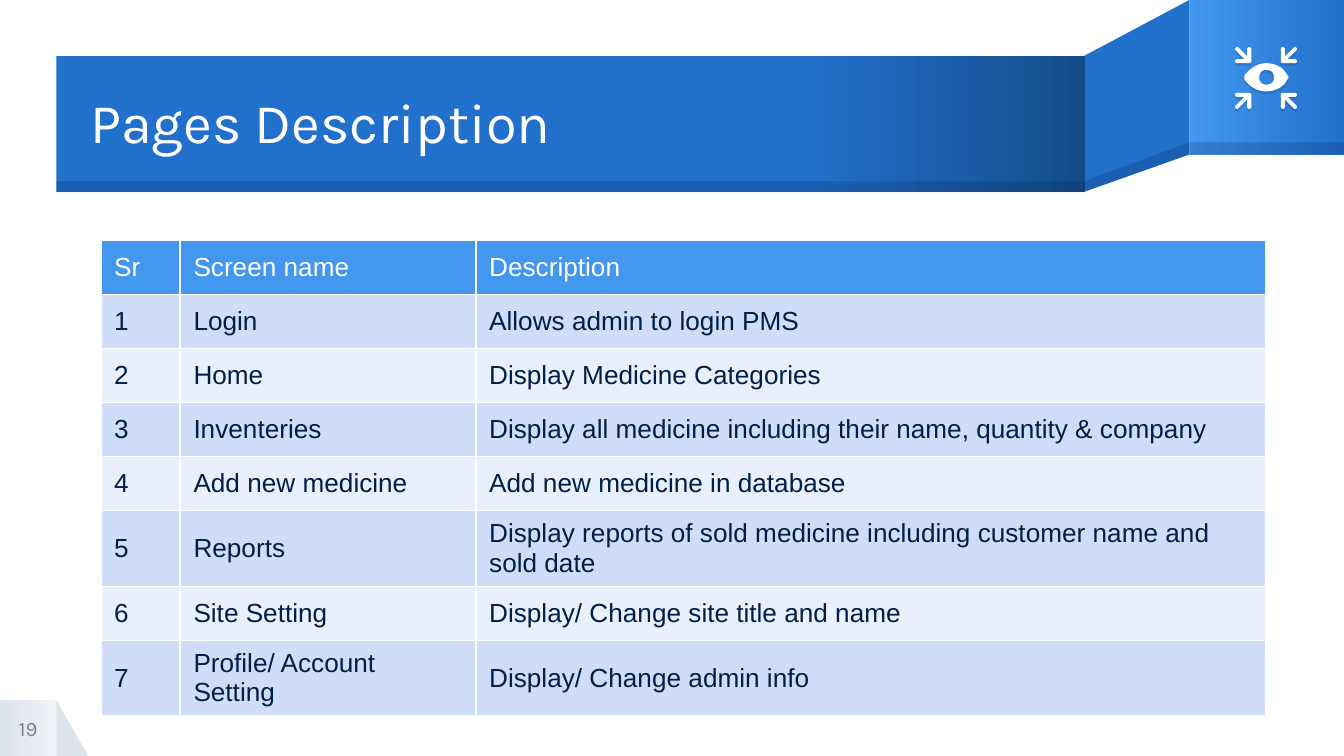
from dataclasses import dataclass

from lxml.etree import SubElement
from pptx import Presentation
from pptx.dml.color import RGBColor
from pptx.enum.shapes import MSO_SHAPE
from pptx.enum.text import MSO_ANCHOR, MSO_AUTO_SIZE, PP_ALIGN
from pptx.oxml.ns import qn
from pptx.util import Inches, Pt


@dataclass(frozen=True)
class Theme:
    white: str = "FFFFFF"
    navy: str = "001F46"
    blue: str = "2170CC"
    light_blue: str = "4397EE"
    dark_blue: str = "154C8A"
    gray: str = "DDE3EB"
    pale_gray: str = "F0F3F7"
    number_gray: str = "748394"
    odd_row: str = "CFDDF8"
    even_row: str = "E9EFFC"
    heading_font: str = "Karla"
    body_font: str = "Arial"
    title_size: int = 30
    table_size: int = 14
    number_size: int = 11


THEME = Theme()
SLIDE_WIDTH = 10
SLIDE_HEIGHT = SLIDE_WIDTH * 9 / 16
ICON_CENTER = (9.42, 0.58)
ARROW = [
    (0.12, 0.11), (0.22, 0.11), (0.23, 0.12), (0.23, 0.13), (0.22, 0.14),
    (0.16, 0.14), (0.23, 0.21), (0.23, 0.22), (0.22, 0.23), (0.21, 0.23),
    (0.14, 0.16), (0.14, 0.22), (0.13, 0.23), (0.12, 0.23), (0.11, 0.22),
    (0.11, 0.12),
]
EYE_CURVES = [
    [(9.58, 0.59), (9.59, 0.58), (9.59, 0.57), (9.58, 0.56)],
    [(9.58, 0.56), (9.55, 0.5), (9.49, 0.47), (9.42, 0.47)],
    [(9.42, 0.47), (9.36, 0.47), (9.3, 0.51), (9.26, 0.56)],
    [(9.26, 0.56), (9.26, 0.57), (9.26, 0.58), (9.26, 0.59)],
    [(9.26, 0.59), (9.3, 0.65), (9.36, 0.68), (9.42, 0.68)],
    [(9.42, 0.68), (9.49, 0.68), (9.55, 0.65), (9.58, 0.59)],
]
PUPIL_CURVES = [
    [(9.42, 0.63), (9.39, 0.63), (9.37, 0.61), (9.37, 0.58)],
    [(9.37, 0.58), (9.37, 0.54), (9.39, 0.52), (9.42, 0.52)],
    [(9.42, 0.52), (9.46, 0.52), (9.48, 0.54), (9.48, 0.58)],
    [(9.48, 0.58), (9.48, 0.61), (9.46, 0.63), (9.42, 0.63)],
]
COLUMN_WIDTHS = [0.59, 2.2, 5.88]
TABLE_HEIGHT = 3.54
ROW_SHARES = [0.4, 0.4, 0.4, 0.4, 0.4, 0.56, 0.4, 0.56]
HEADER = ("Sr", "Screen name", "Description")
SCREENS = [
    ("Login", "Allows admin to login PMS"),
    ("Home", "Display Medicine Categories"),
    ("Inventeries", "Display all medicine including their name, quantity & company"),
    ("Add new medicine", "Add new medicine in database"),
    ("Reports", "Display reports of sold medicine including customer name and sold date"),
    ("Site Setting", "Display/ Change site title and name"),
    ("Profile/ Account Setting", "Display/ Change admin info"),
]


def color(value):
    return RGBColor.from_string(value)


def paint(shape, fill, alpha=None):
    """Fill with one colour, optionally transparent (alpha in percent)."""
    shape.shadow.inherit = False
    shape.line.fill.background()
    shape.fill.solid()
    shape.fill.fore_color.rgb = color(fill)
    if alpha is not None:
        rgb = shape.element.spPr.find(f"{qn('a:solidFill')}/{qn('a:srgbClr')}")
        SubElement(rgb, qn("a:alpha"), val=str(alpha * 1000))


def paint_gradient(shape, start, end, start_position=0):
    paint(shape, start)
    shape.fill.gradient()
    shape.fill.gradient_angle = 0
    stops = zip(shape.fill.gradient_stops, (start, end), (start_position, 1))
    for stop, value, position in stops:
        stop.color.rgb = color(value)
        stop.position = position


def add_block(slide, box, kind=MSO_SHAPE.RECTANGLE):
    return slide.shapes.add_shape(kind, *map(Inches, box))


def add_outline(slide, *contours):
    """Draw closed contours as one shape; inner contours become holes."""
    first, *others = [[(Inches(x), Inches(y)) for x, y in contour] for contour in contours]
    builder = slide.shapes.build_freeform(*first[0])
    builder.add_line_segments(first[1:])
    for contour in others:
        builder.move_to(*contour[0])
        builder.add_line_segments(contour[1:])
    return builder.convert_to_shape()


def sample_curves(curves, steps=8):
    """Turn cubic Bézier curves into a list of points."""
    points = []
    for curve in curves:
        for step in range(steps):
            t = step / steps
            weights = ((1 - t) ** 3, 3 * t * (1 - t) ** 2, 3 * t * t * (1 - t), t ** 3)
            points.append(tuple(
                sum(weight * point[axis] for weight, point in zip(weights, curve))
                for axis in (0, 1)))
    return points


def add_corner(slide):
    paint(add_block(slide, (0.42, 5.21, 0.24, 0.42), MSO_SHAPE.RIGHT_TRIANGLE), THEME.gray)
    paint_gradient(add_block(slide, (0, 5.21, 0.42, 0.42)), THEME.gray, THEME.pale_gray)


def add_ribbon(slide):
    fold = add_outline(slide, [(8.85, 0), (8.06, 0.42), (8.06, 1.43), (8.85, 1.15)])
    paint(fold, THEME.blue)
    paint_gradient(add_block(slide, (8.85, 0, 1.15, 1.15)), THEME.light_blue, THEME.blue)
    paint_gradient(add_block(slide, (0.42, 0.42, 7.65, 1.01)),
                   THEME.blue, THEME.dark_blue, 0.73)
    edges = [
        add_outline(slide, [(8.85, 1.06), (8.06, 1.35), (8.06, 1.43), (8.85, 1.15)]),
        add_block(slide, (8.85, 1.06, 1.15, 0.09)),
        add_block(slide, (0.42, 1.35, 7.65, 0.08)),
    ]
    for edge in edges:
        paint(edge, THEME.navy, alpha=20)


def add_icon(slide):
    """Draw an eye with four arrows pointing at it."""
    center_x, center_y = ICON_CENTER
    parts = [add_outline(slide, sample_curves(EYE_CURVES), sample_curves(PUPIL_CURVES))]
    for side_x, side_y in ((1, -1), (-1, -1), (1, 1), (-1, 1)):
        parts.append(add_outline(
            slide, [(center_x + side_x * x, center_y + side_y * y) for x, y in ARROW]))
    for part in parts:
        paint(part, THEME.white)
        effects = part.element.spPr.find(qn("a:effectLst"))
        shadow = SubElement(effects, qn("a:outerShdw"), blurRad="0", dist=str(Pt(1.5)),
                            dir="5400000", algn="bl", rotWithShape="0")
        rgb = SubElement(shadow, qn("a:srgbClr"), val=THEME.navy)
        SubElement(rgb, qn("a:alpha"), val="15000")


def style_paragraph(paragraph, font, size, value, alignment=PP_ALIGN.LEFT):
    paragraph.alignment = alignment
    paragraph.font.name = font
    paragraph.font.size = Pt(size)
    paragraph.font.bold = False
    paragraph.font.color.rgb = color(value)


def write_text(shape, box, text, size, value, alignment=PP_ALIGN.LEFT):
    shape.left, shape.top, shape.width, shape.height = map(Inches, box)
    frame = shape.text_frame
    frame.text = text
    frame.word_wrap = True
    frame.auto_size = MSO_AUTO_SIZE.NONE
    frame.vertical_anchor = MSO_ANCHOR.MIDDLE
    frame.margin_left = frame.margin_top = frame.margin_right = frame.margin_bottom = 0
    style_paragraph(frame.paragraphs[0], THEME.heading_font, size, value, alignment)


def add_title(slide, text):
    title = slide.shapes.title
    write_text(title, (0.67, 0.43, 7.39, 1.01), text, THEME.title_size, THEME.white)
    title.text_frame.paragraphs[0].line_spacing = 0.9
    title.element.getparent().append(title.element)  # bring in front of the ribbon


def add_page_number(slide, number):
    box = (0, 5.21, 0.42, 0.42)
    write_text(slide.shapes.add_textbox(*map(Inches, box)), box, number,
               THEME.number_size, THEME.number_gray, PP_ALIGN.CENTER)


def set_borders(cell):
    properties = cell._tc.get_or_add_tcPr()
    for side in "LRTB":
        line = SubElement(properties, qn(f"a:ln{side}"), w=str(Pt(1)))
        SubElement(SubElement(line, qn("a:solidFill")), qn("a:srgbClr"), val=THEME.white)


def add_screen_table(slide):
    rows = [HEADER] + [(str(number), *screen) for number, screen in enumerate(SCREENS, 1)]
    table = slide.shapes.add_table(
        len(rows), len(HEADER), Inches(0.75), Inches(1.79),
        Inches(sum(COLUMN_WIDTHS)), Inches(TABLE_HEIGHT)).table
    for column, width in zip(table.columns, COLUMN_WIDTHS):
        column.width = Inches(width)
    for index, (row, share, texts) in enumerate(zip(table.rows, ROW_SHARES, rows)):
        row.height = Inches(TABLE_HEIGHT * share / sum(ROW_SHARES))
        is_header = index == 0
        band = THEME.odd_row if index % 2 else THEME.even_row
        for cell, text in zip(row.cells, texts):
            set_borders(cell)
            cell.fill.solid()
            cell.fill.fore_color.rgb = color(THEME.light_blue if is_header else band)
            cell.vertical_anchor = MSO_ANCHOR.MIDDLE
            cell.text = text
            style_paragraph(cell.text_frame.paragraphs[0], THEME.body_font,
                            THEME.table_size, THEME.white if is_header else THEME.navy)


def main():
    presentation = Presentation()
    presentation.slide_width = Inches(SLIDE_WIDTH)
    presentation.slide_height = Inches(SLIDE_HEIGHT)
    slide = presentation.slides.add_slide(presentation.slide_layouts[5])
    add_corner(slide)
    add_ribbon(slide)
    add_icon(slide)
    add_title(slide, "Pages Description")
    add_page_number(slide, "19")
    add_screen_table(slide)
    presentation.save("out.pptx")


if __name__ == "__main__":
    main()
